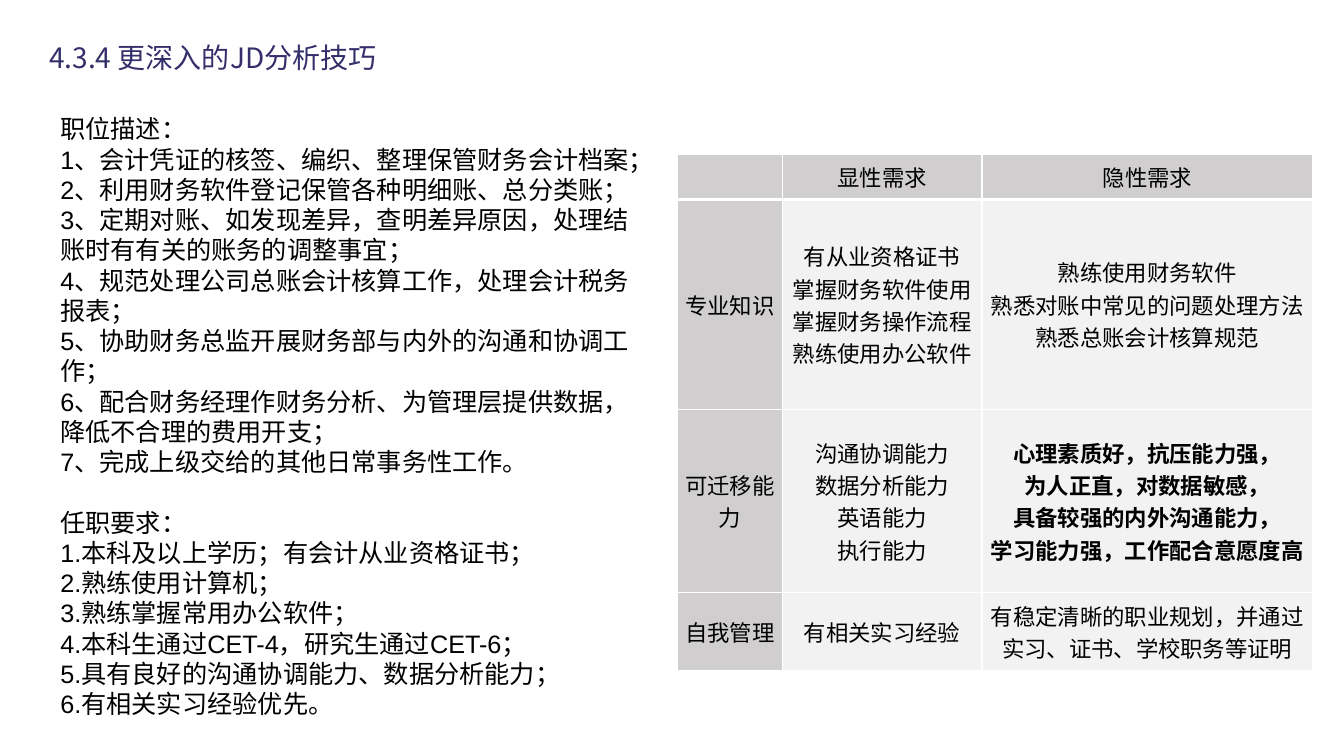
from dataclasses import dataclass

from lxml.etree import SubElement
from pptx import Presentation
from pptx.dml.color import RGBColor as RGB
from pptx.enum.text import MSO_ANCHOR as Anchor, PP_ALIGN as Align
from pptx.oxml import parse_xml
from pptx.oxml.ns import nsdecls, qn
from pptx.util import Inches, Pt


@dataclass(frozen=True)
class Theme:
    title: str = "342E6A"
    text: str = "000000"
    label_fill: str = "D0CECE"
    cell_fill: str = "F2F2F2"
    border: str = "FFFFFF"
    latin: str = "Arial"
    cjk: str = "Noto Sans CJK SC"
    title_size: int = 20
    body_size: int = 18
    table_size: int = 16
    leading: float = 1.2


THEME = Theme()

TITLE = "4.3.4 更深入的JD分析技巧"
JOB_SECTIONS = [
    ["职位描述：",
     "1、会计凭证的核签、编织、整理保管财务会计档案；",
     "2、利用财务软件登记保管各种明细账、总分类账；",
     "3、定期对账、如发现差异，查明差异原因，处理结账时有有关的账务的调整事宜；",
     "4、规范处理公司总账会计核算工作，处理会计税务报表；",
     "5、协助财务总监开展财务部与内外的沟通和协调工作；",
     "6、配合财务经理作财务分析、为管理层提供数据，降低不合理的费用开支；",
     "7、完成上级交给的其他日常事务性工作。"],
    ["任职要求：",
     "1.本科及以上学历；有会计从业资格证书；",
     "2.熟练使用计算机；",
     "3.熟练掌握常用办公软件；",
     "4.本科生通过CET-4，研究生通过CET-6；",
     "5.具有良好的沟通协调能力、数据分析能力；",
     "6.有相关实习经验优先。"],
]
NEEDS = [
    ["", "显性需求", "隐性需求"],
    ["专业知识",
     "有从业资格证书\n掌握财务软件使用\n掌握财务操作流程\n熟练使用办公软件",
     "熟练使用财务软件\n熟悉对账中常见的问题处理方法\n熟悉总账会计核算规范"],
    ["可迁移能力",
     "沟通协调能力\n数据分析能力\n英语能力\n执行能力",
     "心理素质好，抗压能力强，\n为人正直，对数据敏感，\n具备较强的内外沟通能力，\n学习能力强，工作配合意愿度高"],
    ["自我管理", "有相关实习经验", "有稳定清晰的职业规划，并通过实习、证书、学校职务等证明"],
]
COL_WIDTHS = [1.04, 1.98, 3.28]
ROW_HEIGHTS = [0.45, 2.08, 1.82, 0.77]
BOLD_CELL = (2, 2)


def style_runs(p, size, color, latin, bold=False):
    for r in p.runs:
        r.font.size = Pt(size)
        r.font.bold = bold
        r.font.color.rgb = RGB.from_string(color)
        r.font.name = latin
        SubElement(r.font._element, qn("a:ea"), typeface=THEME.cjk)


def add_text(s, box, sections, size, color, latin):
    """Write sections of lines, with one line of space between sections."""
    tf = s.shapes.add_textbox(*map(Inches, box)).text_frame
    tf.word_wrap = True
    tf.text = "\n".join(line for section in sections for line in section)
    pitch = Pt(size * THEME.leading)
    for p in tf.paragraphs:
        p.line_spacing = pitch
        style_runs(p, size, color, latin)
    start = 0
    for section in sections[:-1]:
        start += len(section)
        tf.paragraphs[start].space_before = pitch


def set_borders(cell, **widths):
    tc_pr = cell._tc.get_or_add_tcPr()
    for i, side in enumerate("LRTB"):
        tc_pr.insert(i, parse_xml(
            f'<a:ln{side} {nsdecls("a")} w="{Pt(widths.get(side, 1))}"><a:solidFill>'
            f'<a:srgbClr val="{THEME.border}"/></a:solidFill></a:ln{side}>'))


def fill_cell(cell, text, row, col):
    cell.text = text
    cell.vertical_anchor = Anchor.MIDDLE
    cell.margin_left = cell.margin_right = Inches(0.06)
    cell.margin_top = cell.margin_bottom = 0
    is_label = row == 0 or col == 0
    cell.fill.solid()
    cell.fill.fore_color.rgb = RGB.from_string(
        THEME.label_fill if is_label else THEME.cell_fill)
    set_borders(cell, B=3 if row == 0 else 1, T=3 if row == 1 else 1)
    for p in cell.text_frame.paragraphs:
        p.alignment = Align.CENTER
        style_runs(p, THEME.table_size, THEME.text, THEME.latin, (row, col) == BOLD_CELL)


def add_needs_table(s, left, top):
    size = sum(COL_WIDTHS), sum(ROW_HEIGHTS)
    table = s.shapes.add_table(len(NEEDS), len(NEEDS[0]),
                               *map(Inches, (left, top, *size))).table
    table.first_row = table.horz_banding = False
    for column, width in zip(table.columns, COL_WIDTHS):
        column.width = Inches(width)
    for row, height in zip(table.rows, ROW_HEIGHTS):
        row.height = Inches(height)
    for i, texts in enumerate(NEEDS):
        for j, text in enumerate(texts):
            fill_cell(table.cell(i, j), text, i, j)


def main():
    prs = Presentation()
    prs.slide_width, prs.slide_height = Inches(13.33), Inches(7.5)
    s = prs.slides.add_slide(prs.slide_layouts[6])
    add_text(s, (0.39, 0.35, 3.54, 0.44), [[TITLE]],
             THEME.title_size, THEME.title, THEME.cjk)
    add_text(s, (0.5, 1.08, 6.05, 6.16), JOB_SECTIONS,
             THEME.body_size, THEME.text, THEME.latin)
    add_needs_table(s, 6.72, 1.53)
    prs.save("out.pptx")


if __name__ == "__main__":
    main()
